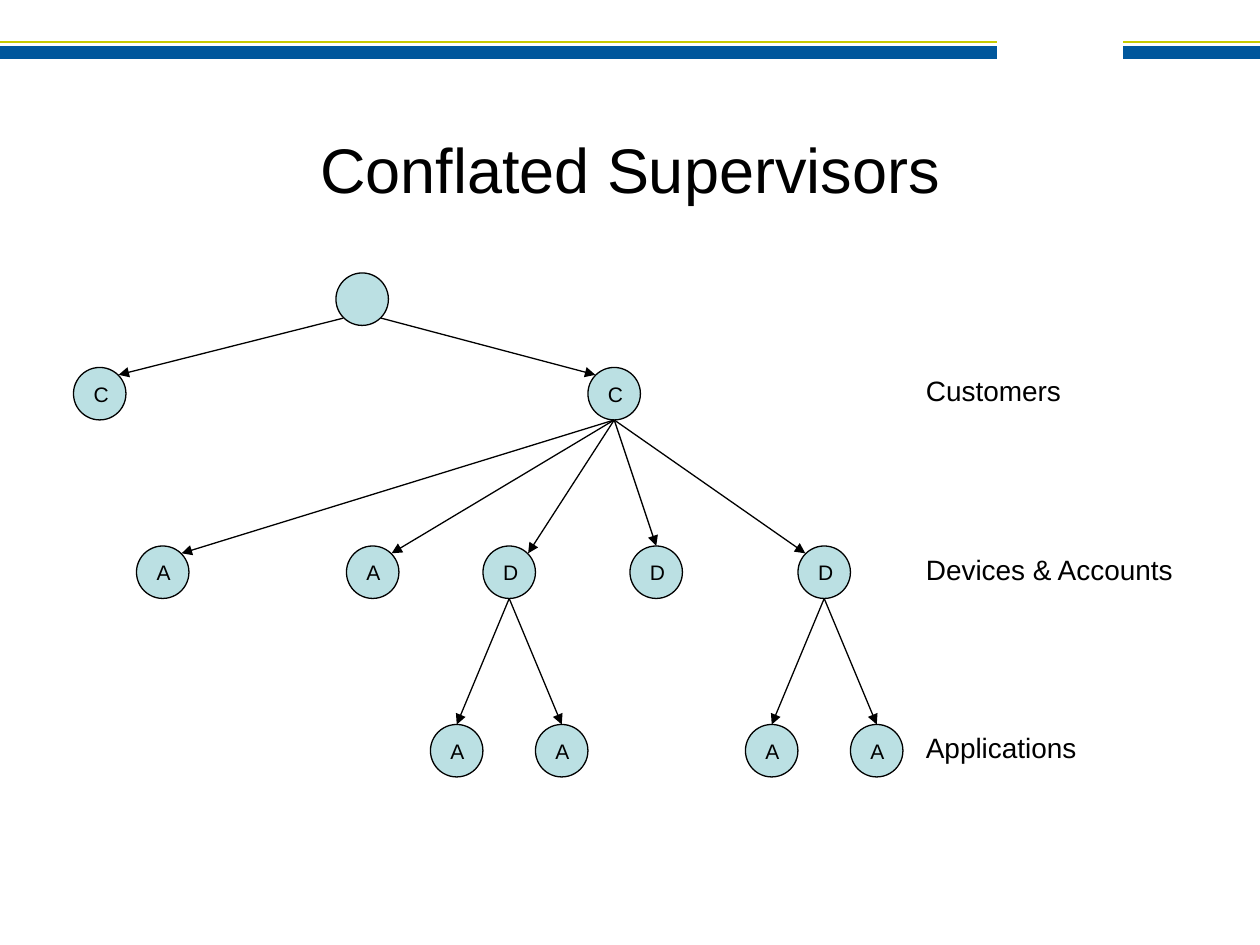
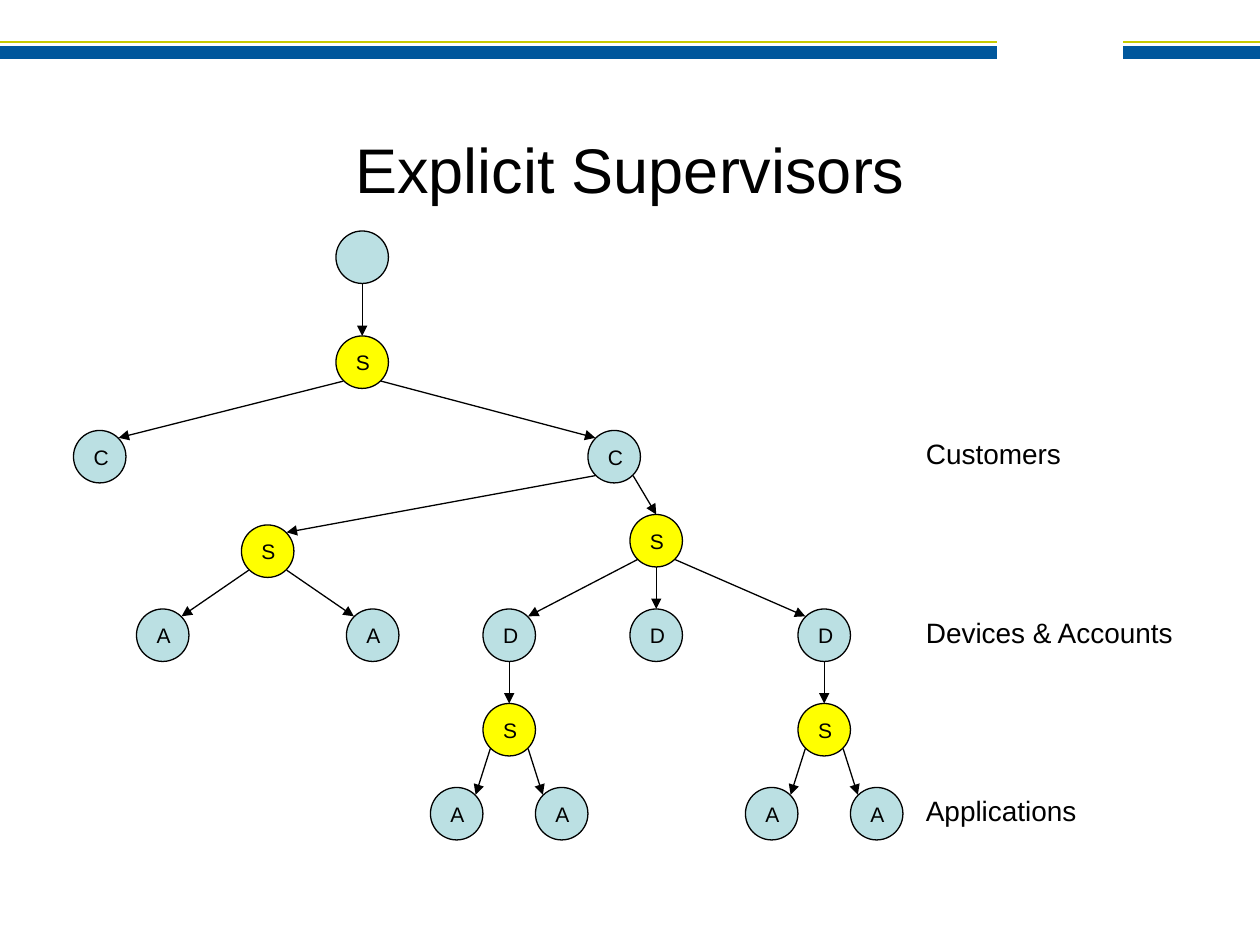
from lxml import etree
from pptx import Presentation
from pptx import util as u
from pptx.dml.color import RGBColor
from pptx.enum import shapes, text
from pptx.oxml import ns

PX = 7620  # EMU per px, 120 px to the inch
BLACK = RGBColor(0x00, 0x00, 0x00)
BLUE = RGBColor(0x00, 0x57, 0x9C)
LIME = RGBColor(0xC7, 0xCA, 0x00)
PALE_BLUE = RGBColor(0xBB, 0xE0, 0xE3)
YELLOW = RGBColor(0xFF, 0xFF, 0x00)
FONT = "Arial"

NODE_SIZE = 50
ROW_STEP = 170
LABEL_LEFT = 870
LABEL_HEIGHT = 44
LEVEL_LABELS = [("Customers", 155), ("Devices & Accounts", 263), ("Applications", 169)]

# Offsets from a node's centre to the points where arrows attach
TOP, BOTTOM = (0, -25), (0, 25)
TOP_LEFT, TOP_RIGHT = (-18, -18), (18, -18)
BOTTOM_LEFT, BOTTOM_RIGHT = (-18, 18), (18, 18)

# name: (letter, left, level)
LEVEL_NODES = {
    "customer 1": ("C", 70, 0),
    "customer 2": ("C", 560, 0),
    "account 1": ("A", 130, 1),
    "account 2": ("A", 330, 1),
    "device 1": ("D", 460, 1),
    "device 2": ("D", 600, 1),
    "device 3": ("D", 760, 1),
    "app 1": ("A", 410, 2),
    "app 2": ("A", 510, 2),
    "app 3": ("A", 710, 2),
    "app 4": ("A", 810, 2),
}

# name: (left, top)
SUPERVISORS = {
    "customer supervisor": (320, 320),
    "account supervisor": (230, 500),
    "device supervisor": (600, 490),
    "app supervisor 1": (460, 670),
    "app supervisor 2": (760, 670),
}

# (parent, leaving point, child, arriving point)
CONFLATED_ARROWS = [
    ("root", BOTTOM_LEFT, "customer 1", TOP_RIGHT),
    ("root", BOTTOM_RIGHT, "customer 2", TOP_LEFT),
    ("customer 2", BOTTOM, "account 1", TOP_RIGHT),
    ("customer 2", BOTTOM, "account 2", TOP_RIGHT),
    ("customer 2", BOTTOM, "device 1", TOP_RIGHT),
    ("customer 2", BOTTOM, "device 2", TOP),
    ("customer 2", BOTTOM, "device 3", TOP_LEFT),
    ("device 1", BOTTOM, "app 1", TOP),
    ("device 1", BOTTOM, "app 2", TOP),
    ("device 3", BOTTOM, "app 3", TOP),
    ("device 3", BOTTOM, "app 4", TOP),
]
EXPLICIT_ARROWS = [
    ("root", BOTTOM, "customer supervisor", TOP),
    ("customer supervisor", BOTTOM_LEFT, "customer 1", TOP_RIGHT),
    ("customer supervisor", BOTTOM_RIGHT, "customer 2", TOP_LEFT),
    ("customer 2", BOTTOM_LEFT, "account supervisor", TOP_RIGHT),
    ("customer 2", BOTTOM_RIGHT, "device supervisor", TOP),
    ("account supervisor", BOTTOM_LEFT, "account 1", TOP_RIGHT),
    ("account supervisor", BOTTOM_RIGHT, "account 2", TOP_LEFT),
    ("device supervisor", BOTTOM_LEFT, "device 1", TOP_RIGHT),
    ("device supervisor", BOTTOM, "device 2", TOP),
    ("device supervisor", BOTTOM_RIGHT, "device 3", TOP_LEFT),
    ("device 1", BOTTOM, "app supervisor 1", TOP),
    ("device 3", BOTTOM, "app supervisor 2", TOP),
    ("app supervisor 1", BOTTOM_LEFT, "app 1", TOP_RIGHT),
    ("app supervisor 1", BOTTOM_RIGHT, "app 2", TOP_LEFT),
    ("app supervisor 2", BOTTOM_LEFT, "app 3", TOP_RIGHT),
    ("app supervisor 2", BOTTOM_RIGHT, "app 4", TOP_LEFT),
]


def px(*lengths):
    return [u.Emu(length * PX) for length in lengths]


def add_run(paragraph, words, size):
    run = paragraph.add_run()
    run.text = words
    run.font.size = u.Pt(size)
    run.font.name = FONT
    run.font.color.rgb = BLACK


def add_line(slide, start, end, color, width):
    connector = slide.shapes.add_connector(
        shapes.MSO_CONNECTOR.STRAIGHT, *px(*start, *end))
    connector.line.color.rgb = color
    connector.line.width = u.Pt(width)
    etree.SubElement(connector.element.spPr, ns.qn("a:effectLst"))
    return connector


def add_arrow(slide, start, end):
    connector = add_line(slide, start, end, BLACK, 0.75)
    line = connector.line._get_or_add_ln()
    etree.SubElement(line, ns.qn("a:tailEnd"), type="triangle")


def add_master_stripes(presentation, slide):
    """Draw the header stripes on a slide and move them to the master."""
    tree = presentation.slide_master.shapes.element
    shape_id = 100
    for left, right in [(0, 950), (1070, 1200)]:
        for y, color, width in [(50, BLUE, 7.75), (40, LIME, 1)]:
            stripe = add_line(slide, (left, y), (right, y), color, width).element
            stripe.nvCxnSpPr.cNvPr.set("id", str(shape_id))
            tree.append(stripe)
            shape_id += 1


def add_titled_slide(presentation, words):
    slide = presentation.slides.add_slide(presentation.slide_layouts[5])
    title = slide.shapes.title
    title.left, title.top, title.width, title.height = px(90, 90, 1020, 140)
    frame = title.text_frame
    frame.auto_size = text.MSO_AUTO_SIZE.NONE
    frame.vertical_anchor = text.MSO_ANCHOR.MIDDLE
    paragraph = frame.paragraphs[0]
    paragraph.alignment = text.PP_ALIGN.CENTER
    add_run(paragraph, words, 36)
    return slide


def add_node(slide, letter, left, top, fill):
    node = slide.shapes.add_shape(
        shapes.MSO_SHAPE.OVAL, *px(left, top, NODE_SIZE, NODE_SIZE))
    node.shadow.inherit = False
    node.fill.solid()
    node.fill.fore_color.rgb = fill
    node.line.color.rgb = BLACK
    node.line.width = u.Pt(0.75)
    if letter:
        frame = node.text_frame
        frame.vertical_anchor = text.MSO_ANCHOR.TOP
        paragraph = frame.paragraphs[0]
        paragraph.alignment = text.PP_ALIGN.LEFT
        add_run(paragraph, letter, 12)


def add_level_label(slide, words, top, width):
    label = slide.shapes.add_textbox(*px(LABEL_LEFT, top, width, LABEL_HEIGHT))
    frame = label.text_frame
    frame.word_wrap = False
    frame.auto_size = text.MSO_AUTO_SIZE.SHAPE_TO_FIT_TEXT
    add_run(frame.paragraphs[0], words, 16)


def attach_point(node, offset):
    _, left, top, _ = node
    return left + NODE_SIZE // 2 + offset[0], top + NODE_SIZE // 2 + offset[1]


def add_tree(slide, root_top, levels_top, arrows, supervisors):
    """Draw a supervision tree whose three labelled levels start at levels_top."""
    nodes = {"root": ("", 320, root_top, PALE_BLUE)}
    for name, (letter, left, level) in LEVEL_NODES.items():
        nodes[name] = (letter, left, levels_top + level * ROW_STEP, PALE_BLUE)
    for name, (left, top) in supervisors.items():
        nodes[name] = ("S", left, top, YELLOW)

    for parent, leaving, child, arriving in arrows:
        add_arrow(slide, attach_point(nodes[parent], leaving),
                  attach_point(nodes[child], arriving))
    for node in nodes.values():
        add_node(slide, *node)
    for level, (words, width) in enumerate(LEVEL_LABELS):
        add_level_label(slide, words, levels_top + level * ROW_STEP, width)


def main():
    presentation = Presentation()
    presentation.slide_width, presentation.slide_height = px(1200, 900)

    conflated = add_titled_slide(presentation, "Conflated Supervisors")
    add_master_stripes(presentation, conflated)
    add_tree(conflated, 260, 350, CONFLATED_ARROWS, {})

    explicit = add_titled_slide(presentation, "Explicit Supervisors")
    add_tree(explicit, 220, 410, EXPLICIT_ARROWS, SUPERVISORS)

    presentation.save("out.pptx")


if __name__ == "__main__":
    main()
